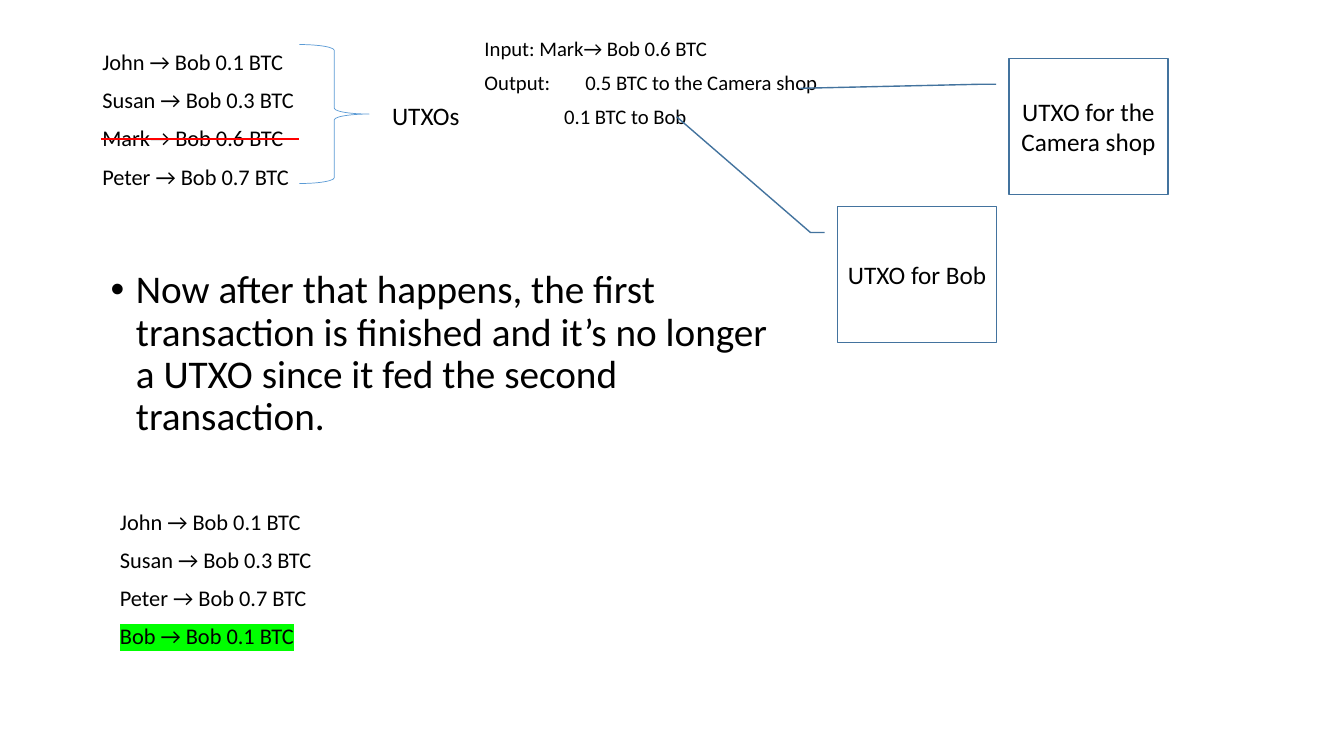
from lxml import etree
from pptx import Presentation
from pptx.dml.color import RGBColor
from pptx.enum.shapes import MSO_CONNECTOR, MSO_SHAPE
from pptx.enum.text import MSO_ANCHOR, PP_ALIGN
from pptx.oxml.ns import qn
from pptx.util import Inches, Pt

STRAIGHT = MSO_CONNECTOR.STRAIGHT
BRACE = MSO_SHAPE.RIGHT_BRACE
CALLOUT = MSO_SHAPE.LINE_CALLOUT_2
MIDDLE, TOP = MSO_ANCHOR.MIDDLE, MSO_ANCHOR.TOP
LEFT, CENTER = PP_ALIGN.LEFT, PP_ALIGN.CENTER

COLORS = {
    "text": "000000",
    "brace": "5B9BD5",
    "callout": "43739E",
    "spent": "FF0000",
    "new": "00FF00",
}
COLUMNS, ROWS = 32, 18


def color(name):
    return RGBColor.from_string(COLORS[name])


def write(para, text, size=16, spacing=None, before=0, align=LEFT,
          margin=0, hanging=0, bullet=None, tab=None, highlight=None):
    para.alignment = align
    para.space_before = Pt(before)
    if spacing:
        para.line_spacing = spacing
    properties = para._p.get_or_add_pPr()
    properties.set("marL", str(Inches(margin)))
    properties.set("indent", str(-Inches(hanging)))
    if bullet:
        etree.SubElement(properties, qn("a:buFont"), typeface="Arial")
        etree.SubElement(properties, qn("a:buChar"), char=bullet)
    if tab:
        stops = etree.SubElement(properties, qn("a:tabLst"))
        etree.SubElement(stops, qn("a:tab"), pos=str(Inches(tab)), algn="l")
    span = para.add_run()
    span.text = text
    span.font.name = "Calibri"
    span.font.size = Pt(size)
    span.font.color.rgb = color("text")
    if highlight:
        mark = etree.Element(qn("a:highlight"))
        etree.SubElement(mark, qn("a:srgbClr"), val=COLORS[highlight])
        span._r.rPr.find(qn("a:solidFill")).addnext(mark)


class Canvas:
    def __init__(self, deck):
        self.page = deck.slides.add_slide(deck.slide_layouts[6])
        self.column = deck.slide_width / COLUMNS
        self.row = deck.slide_height / ROWS

    def place(self, left, top, width, height):
        return (round(left * self.column), round(top * self.row),
                round(width * self.column), round(height * self.row))

    def fill_text(self, box, lines, anchor, **style):
        frame = box.text_frame
        frame.word_wrap = True
        frame.vertical_anchor = anchor
        for index, line in enumerate(lines):
            para = frame.add_paragraph() if index else frame.paragraphs[0]
            text, extra = line if isinstance(line, tuple) else (line, {})
            write(para, text, **{**style, **extra})

    def text(self, area, lines, **style):
        box = self.page.shapes.add_textbox(*self.place(*area))
        self.fill_text(box, lines, TOP, **style)

    def outline(self, kind, area, line, width):
        shape = self.page.shapes.add_shape(kind, *self.place(*area))
        shape.shadow.inherit = False
        shape.fill.background()
        shape.line.color.rgb = color(line)
        shape.line.width = Pt(width)
        return shape

    def callout(self, left, top, label, target):
        box = self.outline(CALLOUT, (left, top, 3.79, 3.24), "callout", 1)
        for index, value in enumerate((0.19, -0.08, 0.19, -0.17, *target)):
            box.adjustments[index] = value
        self.fill_text(box, [label], MIDDLE, size=18, align=CENTER)

    def rule(self, left, right, top, line, width):
        x, y, length, _ = self.place(left, top, right - left, 0)
        rule = self.page.shapes.add_connector(STRAIGHT, x, y, x + length, y)
        rule.line.color.rgb = color(line)
        rule.line.width = Pt(width)
        etree.SubElement(rule._element.spPr, qn("a:effectLst"))


deck = Presentation()
deck.slide_width, deck.slide_height = Inches(13.33), Inches(7.5)
canvas = Canvas(deck)

john, susan, peter = "John → Bob 0.1 BTC", "Susan → Bob 0.3 BTC", "Peter → Bob 0.7 BTC"
mark = "Mark→ Bob 0.6 BTC"
change = "Bob → Bob 0.1 BTC"
ledger = {"size": 16, "spacing": 0.9, "before": 10}
amount_indent = 0.79

canvas.text((2.2, 1.1, 10.32, 3.79), [john, susan, mark, peter], **ledger)
canvas.outline(BRACE, (7.13, 1.06, 1.66, 3.31), "brace", 0.5)
canvas.text((9.1, 2.28, 2.21, 0.96), ["UTXOs"], size=18)
canvas.text(
    (11.3, 0.86, 19.25, 2.38),
    ["Input: " + mark,
     ("Output:\t0.5 BTC to the Camera shop", {"tab": amount_indent}),
     ("0.1 BTC to Bob", {"margin": amount_indent})],
    size=14.8, spacing=0.8, before=10)
canvas.rule(2.4, 7.13, 3.31, "spent", 2)
canvas.callout(24.02, 1.39, "UTXO for the Camera shop", (0.22, -1.31))
canvas.text(
    (2.4, 6.31, 16.2, 5.18),
    ["Now after that happens, the first transaction is finished and it’s "
     "no longer a UTXO since it fed the second transaction."],
    size=28, spacing=0.9, before=10, margin=0.25, hanging=0.25, bullet="•")
canvas.callout(19.94, 4.92, "UTXO for Bob", (-0.66, -1.01))
canvas.text((2.62, 12.05, 6.17, 3.79),
            [john, susan, peter, (change, {"highlight": "new"})], **ledger)

deck.save("out.pptx")
